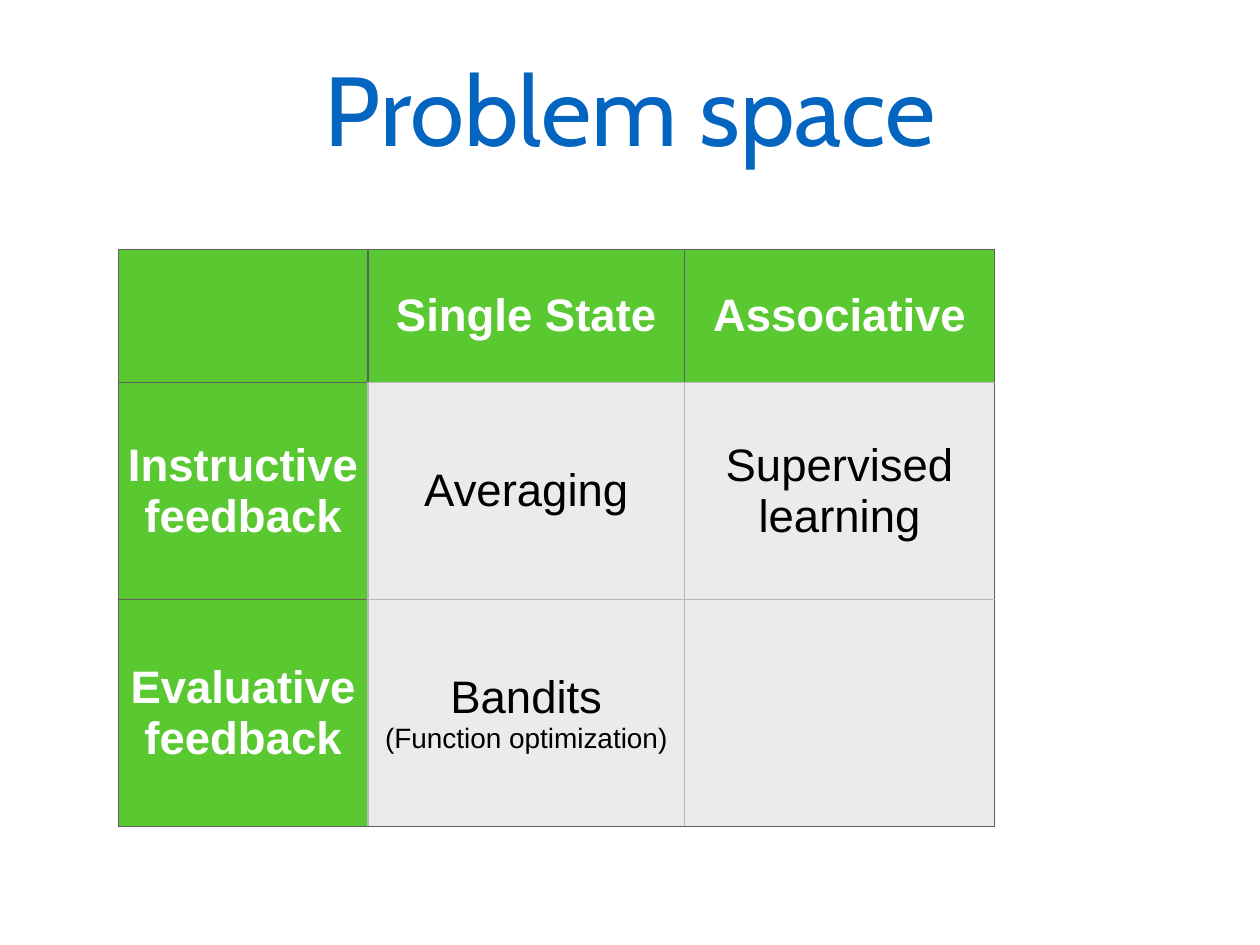
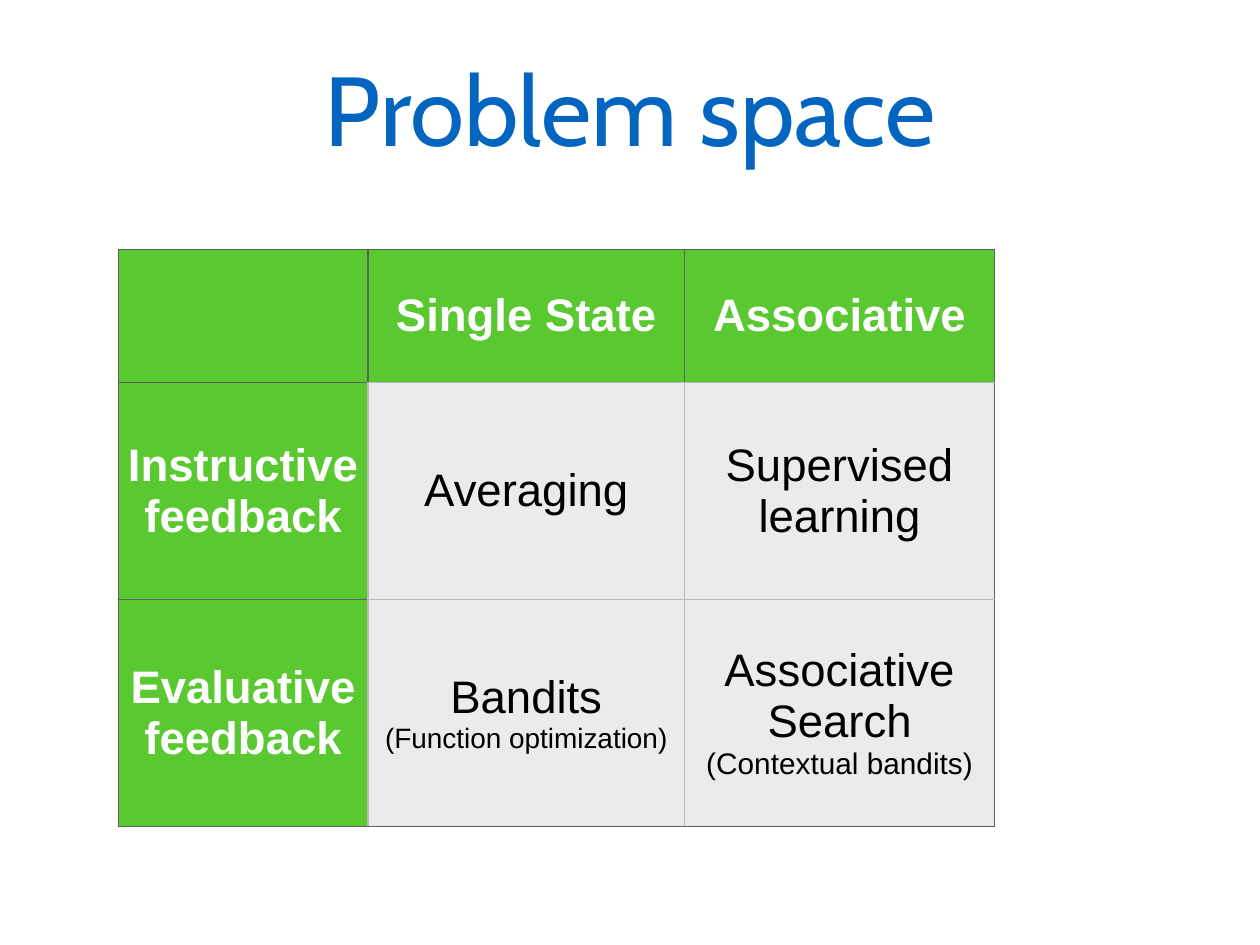
from dataclasses import dataclass

from lxml import etree
from pptx import Presentation
from pptx.dml.color import RGBColor
from pptx.enum import text as txt
from pptx.oxml import ns
from pptx.util import Pt


@dataclass(frozen=True)
class Theme:
    title_color: str = "0365C0"
    header_fill: str = "5AC831"
    header_text: str = "FFFFFF"
    body_fill: str = "EBEBEB"
    body_text: str = "000000"
    dark_border: str = "606060"
    light_border: str = "B8B8B8"
    title_font: str = "Cabin"
    table_font: str = "Arial"
    title_size: int = 56
    cell_size: int = 26
    note_size: int = 16
    wide_note_size: int = 17
    border_width: int = 1
    title_inset: float = 2.9
    cell_inset: float = 4.3


THEME = Theme()


@dataclass(frozen=True)
class Span:
    text: str
    size: int = THEME.cell_size


Paragraphs = list[list[Span]]


@dataclass(frozen=True)
class ProblemSlide:
    title: str
    associative_evaluative: Paragraphs


SLIDES = [
    ProblemSlide("Problem space", []),
    ProblemSlide("Problem space", [[
        Span("Associative Search "),
        Span("(Contextual bandits)", THEME.wide_note_size),
    ]]),
]

TITLE_BOX = (1.4, 1.4, 717.8, 119.5)
TABLE_LEFT, TABLE_TOP = 67.7, 142.6
COLUMN_WIDTHS = [142.6, 181, 177.1]
ROW_HEIGHTS = [76, 124, 129.6]


def problem_grid(associative_evaluative: Paragraphs) -> list[list[Paragraphs]]:
    return [
        [[], [[Span("Single State")]], [[Span("Associative")]]],
        [[[Span("Instructive\nfeedback")]], [[Span("Averaging")]],
         [[Span("Supervised learning")]]],
        [[[Span("Evaluative feedback")]],
         [[Span("Bandits")], [Span("(Function optimization)", THEME.note_size)]],
         associative_evaluative],
    ]


def put_text(frame, paragraphs: Paragraphs, *, font: str, color: str,
             bold: bool = False) -> None:
    """Write centred paragraphs; a newline in a span is a line break."""
    for index, spans in enumerate(paragraphs):
        paragraph = frame.paragraphs[0] if index == 0 else frame.add_paragraph()
        paragraph.alignment = txt.PP_ALIGN.CENTER
        for span in spans:
            for number, line in enumerate(span.text.split("\n")):
                if number:
                    paragraph.add_line_break()
                run = paragraph.add_run()
                run.text = line
                run.font.name = font
                run.font.size = Pt(span.size)
                run.font.bold = bold
                run.font.color.rgb = RGBColor.from_string(color)


def set_insets(holder, inset: float) -> None:
    holder.margin_left = holder.margin_right = Pt(inset)
    holder.margin_top = holder.margin_bottom = Pt(inset)
    holder.vertical_anchor = txt.MSO_ANCHOR.MIDDLE


def is_body(row: int, column: int) -> bool:
    return row > 0 and column > 0


def border_color(row: int, column: int, next_row: int, next_column: int) -> str:
    """Dark on the outline and between headers, light wherever a body cell meets another cell."""
    inside = (0 <= next_row < len(ROW_HEIGHTS)
              and 0 <= next_column < len(COLUMN_WIDTHS))
    touches_body = is_body(row, column) or is_body(next_row, next_column)
    return THEME.light_border if inside and touches_body else THEME.dark_border


def add_borders(cell, row: int, column: int) -> None:
    neighbours = {
        "a:lnL": (row, column - 1),
        "a:lnR": (row, column + 1),
        "a:lnT": (row - 1, column),
        "a:lnB": (row + 1, column),
    }
    properties = cell._tc.get_or_add_tcPr()
    for tag, neighbour in neighbours.items():
        line = etree.SubElement(properties, ns.qn(tag), w=str(Pt(THEME.border_width)))
        fill = etree.SubElement(line, ns.qn("a:solidFill"))
        etree.SubElement(fill, ns.qn("a:srgbClr"),
                         val=border_color(row, column, *neighbour))


def add_title(slide, title: str) -> None:
    frame = slide.shapes.add_textbox(*map(Pt, TITLE_BOX)).text_frame
    frame.word_wrap = True
    set_insets(frame, THEME.title_inset)
    put_text(frame, [[Span(title, THEME.title_size)]],
             font=THEME.title_font, color=THEME.title_color)


def add_problem_table(slide, grid: list[list[Paragraphs]]) -> None:
    table = slide.shapes.add_table(
        len(ROW_HEIGHTS), len(COLUMN_WIDTHS), Pt(TABLE_LEFT), Pt(TABLE_TOP),
        Pt(sum(COLUMN_WIDTHS)), Pt(sum(ROW_HEIGHTS))).table
    table.first_row = table.horz_banding = False
    for column, width in zip(table.columns, COLUMN_WIDTHS):
        column.width = Pt(width)
    for row, height in zip(table.rows, ROW_HEIGHTS):
        row.height = Pt(height)

    for r, contents in enumerate(grid):
        for c, paragraphs in enumerate(contents):
            cell = table.cell(r, c)
            body = is_body(r, c)
            set_insets(cell, THEME.cell_inset)
            add_borders(cell, r, c)
            cell.fill.solid()
            cell.fill.fore_color.rgb = RGBColor.from_string(
                THEME.body_fill if body else THEME.header_fill)
            put_text(cell.text_frame, paragraphs, font=THEME.table_font,
                     color=THEME.body_text if body else THEME.header_text,
                     bold=not body)


def main() -> None:
    deck = Presentation()
    deck.slide_width, deck.slide_height = Pt(720), Pt(540)
    blank = deck.slide_layouts[6]
    for content in SLIDES:
        slide = deck.slides.add_slide(blank)
        add_title(slide, content.title)
        add_problem_table(slide, problem_grid(content.associative_evaluative))
    deck.save("out.pptx")


if __name__ == "__main__":
    main()
